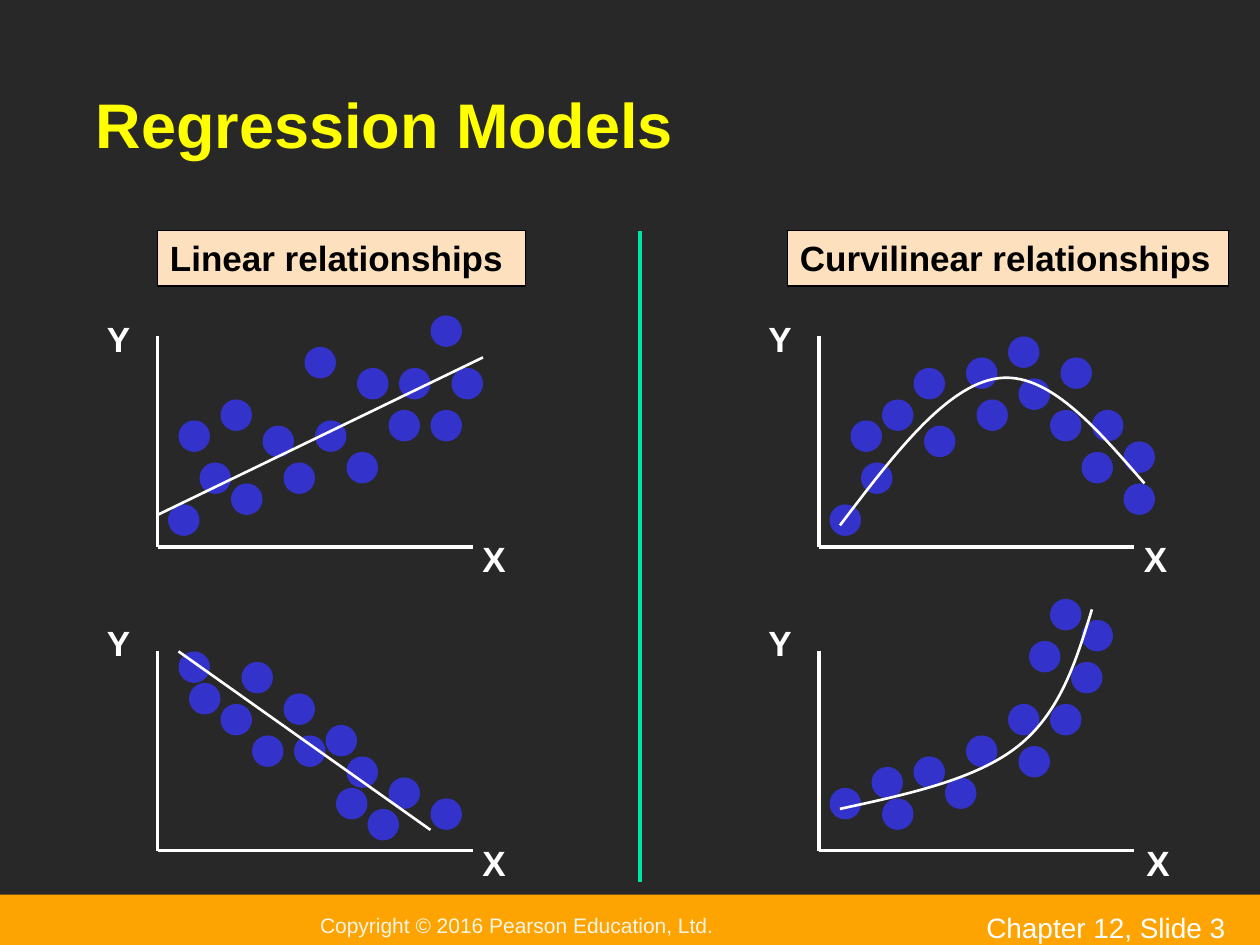
from dataclasses import dataclass

from lxml import etree
from pptx import Presentation
from pptx.dml.color import RGBColor
from pptx.enum.shapes import MSO_CONNECTOR, MSO_SHAPE
from pptx.enum.text import MSO_ANCHOR, PP_ALIGN
from pptx.oxml.ns import qn
from pptx.util import Inches, Pt

RECT, OVAL = MSO_SHAPE.RECTANGLE, MSO_SHAPE.OVAL
LINE = MSO_CONNECTOR.STRAIGHT
TOP, MIDDLE, BOTTOM = MSO_ANCHOR.TOP, MSO_ANCHOR.MIDDLE, MSO_ANCHOR.BOTTOM
LEFT = PP_ALIGN.LEFT


@dataclass(frozen=True)
class Theme:
    font: str = "Arial"
    back: str = "282828"
    title: str = "FFFF00"
    white: str = "FFFFFF"
    black: str = "000000"
    dot: str = "3333CC"
    head: str = "FDE0BD"
    rule: str = "00E4A8"
    bar: str = "FEA402"
    note: str = "F3F5E7"
    big: int = 36
    mid: int = 20
    page: int = 16
    small: int = 12


THEME = Theme()
UNIT = 1 / 12  # plot grid step in inches
DOT = 0.25

# Dots and trends are in grid steps from the top left of each plot
RISE = dict(
    dots=[(1, 16), (4, 12), (26, -2), (28, 3), (7, 14), (23, 3), (18, 11), (19, 3),
          (14, 1), (2, 8), (6, 6), (10, 8.5), (22, 7), (15, 8), (12, 12), (26, 7)],
    trend=[(0, 17), (31, 2)])
FALL = dict(
    dots=[(20, 15), (3, 3), (26, 14), (8, 1), (18, 10), (22, 12), (12, 4),
          (2, 0), (6, 5), (9, 8), (17, 13), (16, 7), (13, 8)],
    trend=[(2, 0), (26, 17)])
ARCH = dict(
    dots=[(1, 16), (4, 12), (29, 10), (23, 2), (9, 3), (29, 14), (25, 11), (19, 4),
          (14, 2), (3, 8), (6, 6), (10, 8.5), (22, 7), (15, 6), (18, 0), (26, 7)],
    trend=[(2, 18), (7.1, 11.3), (12.1, 4.7), (17, 4),
           (21.8, 3.3), (26.4, 8.7), (31, 14)])
GROW = dict(
    dots=[(1, 13), (5, 11), (25, -3), (24, 1), (6, 14), (20, -1), (19, 9),
          (18, 5), (22, -5), (9, 10), (22, 5), (14, 8), (12, 12)],
    trend=[(2, 15), (8.5, 13.6), (15, 12.2), (19, 9),
           (23, 5.8), (24.5, 0.9), (26, -4)])


def color(code):
    return RGBColor.from_string(code)


def write(shape, text, size=THEME.mid, tint=THEME.white, bold=False,
          anchor=TOP, wrap=True, pad=(0.1, 0.05)):
    frame = shape.text_frame
    frame.word_wrap = wrap
    frame.vertical_anchor = anchor
    frame.margin_left = frame.margin_right = Inches(pad[0])
    frame.margin_top = frame.margin_bottom = Inches(pad[1])
    para = frame.paragraphs[0]
    para.text = text
    para.alignment = LEFT
    font = para.font
    font.name, font.size, font.bold = THEME.font, Pt(size), bold
    font.color.rgb = color(tint)


def label(slide, box, text, **style):
    write(slide.shapes.add_textbox(*map(Inches, box)), text, **style)


def block(slide, kind, box, fill, edge=None):
    shape = slide.shapes.add_shape(kind, *map(Inches, box))
    shape.shadow.inherit = False
    shape.fill.solid()
    shape.fill.fore_color.rgb = color(fill)
    if edge:
        shape.line.color.rgb = color(edge)
        shape.line.width = Pt(1)
    else:
        shape.line.fill.background()
    return shape


def stroke(slide, start, end, width, tint=THEME.white):
    line = slide.shapes.add_connector(LINE, *map(Inches, (*start, *end)))
    line.line.color.rgb = color(tint)
    line.line.width = Pt(width)
    etree.SubElement(line.element.spPr, qn("a:effectLst"))


def curve(slide, points, width):
    spots = [(Inches(x), Inches(y)) for x, y in points]
    form = slide.shapes.build_freeform(*spots[0])
    form.add_line_segments(spots[1:], close=False)
    shape = form.convert_to_shape()
    shape.shadow.inherit = False
    shape.fill.background()
    shape.line.color.rgb = color(THEME.white)
    shape.line.width = Pt(width)
    # Each three line points become the control points of one Bezier
    track = next(shape.element.iter(qn("a:path")))
    steps = track.findall(qn("a:lnTo"))
    for i in range(0, len(steps), 3):
        bend = etree.SubElement(track, qn("a:cubicBezTo"))
        for step in steps[i:i + 3]:
            bend.append(step[0])
            track.remove(step)


def plot(slide, box, dots, trend, lift=0.2, side=2.48):
    left, top, width, height = box
    base = top + height

    def place(spot):
        return left + spot[0] * UNIT, top + spot[1] * UNIT

    # Axes and their names
    stroke(slide, (left, top), (left, base), 2)
    stroke(slide, (left, base), (left + width, base), 2)
    for name, x, y in (("Y", left - 0.5, top - lift), ("X", left + side, base - 0.12)):
        label(slide, (x, y, 0.38, 0.44), name, bold=True, wrap=False)
    # Dots under the trend
    for spot in dots:
        block(slide, OVAL, (*place(spot), DOT, DOT), THEME.dot)
    points = [place(spot) for spot in trend]
    if len(points) == 2:
        stroke(slide, *points, 1.5)
    else:
        curve(slide, points, 1.5)


def heading(slide, box, text):
    shape = block(slide, RECT, box, THEME.head, THEME.black)
    write(shape, text, tint=THEME.black, bold=True)


def footer(slide, box):
    left, top, width, height = box
    bar = block(slide, RECT, box, THEME.bar)
    write(bar, "Copyright © 2016 Pearson Education, Ltd.", size=THEME.small,
          tint=THEME.note, anchor=MIDDLE, wrap=False, pad=(0, 0))
    bar.text_frame.margin_left = Inches(2.54)
    label(slide, (left + 7.73, top + 0.08, width - 7.73, 0.26),
          "Chapter 12, Slide 3", size=THEME.page)


def main():
    deck = Presentation()
    deck.slide_width, deck.slide_height = Inches(10), Inches(7.5)
    slide = deck.slides.add_slide(deck.slide_layouts[6])
    slide.background.fill.solid()
    slide.background.fill.fore_color.rgb = color(THEME.back)

    # Footer and title
    footer(slide, (0, 7.1, 10, 0.49))
    label(slide, (0.67, 0.25, 8.67, 1.08), "Regression Models", size=THEME.big,
          tint=THEME.title, bold=True, anchor=BOTTOM, pad=(0.09, 0.05))

    # Two columns of plots
    for left, upper, lower, side in ((1.25, RISE, FALL, 2.48), (6.5, ARCH, GROW, 2.5)):
        plot(slide, (left, 2.67, 2.5, 1.67), **upper)
        plot(slide, (left, 5.17, 2.5, 1.58), **lower, lift=0.29, side=side)

    # Column headings and divider
    heading(slide, (1.25, 1.83, 2.92, 0.44), "Linear relationships")
    heading(slide, (6.25, 1.83, 3.5, 0.44), "Curvilinear relationships")
    stroke(slide, (5.08, 1.83), (5.08, 7), 2.25, THEME.rule)

    deck.save("out.pptx")


if __name__ == "__main__":
    main()
